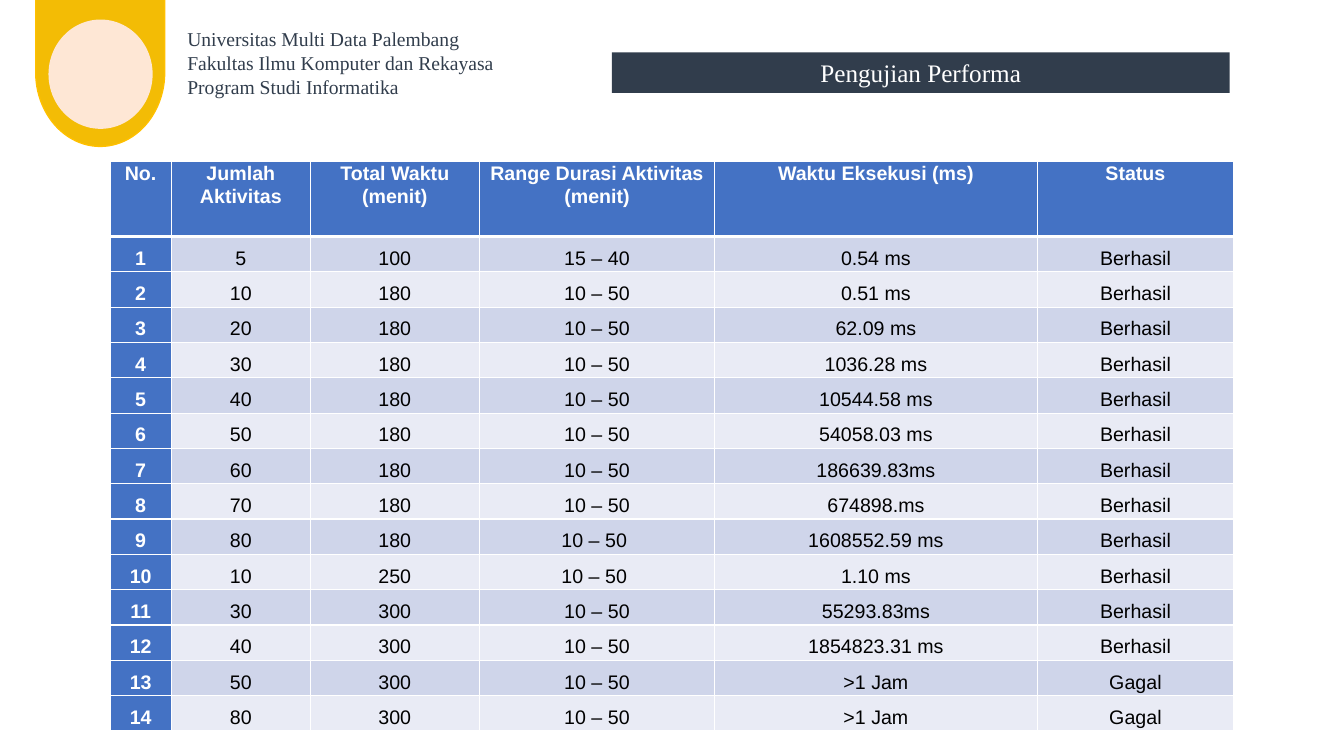
from lxml.etree import SubElement
from pptx import Presentation
from pptx.dml.color import RGBColor
from pptx.enum.shapes import MSO_SHAPE as Preset
from pptx.enum.text import MSO_ANCHOR as Anchor, MSO_AUTO_SIZE as AutoSize, PP_ALIGN as Align
from pptx.oxml.ns import qn
from pptx.util import Cm, Pt

SERIF, SANS = "Times New Roman", "Arial"
NAVY, WHITE, BLACK, BLUE = "313D4C", "FFFFFF", "000000", "4472C4"
BANDS = ("CFD5EA", "E9EBF5")

INSTITUTION = (
    "Universitas Multi Data Palembang",
    "Fakultas Ilmu Komputer dan Rekayasa",
    "Program Studi Informatika",
)
HEADERS = ("No.", "Jumlah Aktivitas", "Total Waktu (menit)",
           "Range Durasi Aktivitas (menit)", "Waktu Eksekusi (ms)", "Status")
COLUMN_WIDTHS = (1.55, 3.5, 4.26, 5.93, 8.13, 4.95)
HEADER_HEIGHT, ROW_HEIGHT = 1.9, 0.84

# Activities, total time, duration range, execution time, status
RESULTS = (
    ("5", "100", "15 – 40", "0.54 ms", "Berhasil"),
    ("10", "180", "10 – 50", "0.51 ms", "Berhasil"),
    ("20", "180", "10 – 50", "62.09 ms", "Berhasil"),
    ("30", "180", "10 – 50", "1036.28 ms", "Berhasil"),
    ("40", "180", "10 – 50", "10544.58 ms", "Berhasil"),
    ("50", "180", "10 – 50", "54058.03 ms", "Berhasil"),
    ("60", "180", "10 – 50", "186639.83ms", "Berhasil"),
    ("70", "180", "10 – 50", "674898.ms", "Berhasil"),
    ("80", "180", "10 – 50 ", "1608552.59 ms", "Berhasil"),
    ("10", "250", "10 – 50 ", "1.10 ms", "Berhasil"),
    ("30", "300", "10 – 50", "55293.83ms", "Berhasil"),
    ("40", "300", "10 – 50", "1854823.31 ms", "Berhasil"),
    ("50", "300", "10 – 50", ">1 Jam", "Gagal"),
    ("80", "300", "10 – 50", ">1 Jam", "Gagal"),
)


def color(hex_value):
    return RGBColor.from_string(hex_value)


def paint(target, hex_value):
    target.fill.solid()
    target.fill.fore_color.rgb = color(hex_value)


def format_text(text_frame, font_name, size, hex_value, bold=False, align=Align.LEFT):
    for paragraph in text_frame.paragraphs:
        paragraph.alignment = align
        for run in paragraph.runs:
            run.font.name = font_name
            run.font.size = Pt(size)
            run.font.bold = bold
            run.font.color.rgb = color(hex_value)


def add_badge_part(slide, preset, left, top, width, height, fill, line, rotation=0):
    shape = slide.shapes.add_shape(preset, Cm(left), Cm(top), Cm(width), Cm(height))
    shape.shadow.inherit = False
    shape.rotation = rotation
    paint(shape, fill)
    shape.line.color.rgb = color(line)
    shape.line.width = Pt(1)


def add_institution(slide):
    box = slide.shapes.add_textbox(Cm(4.72), Cm(0.69), Cm(8.2), Cm(1.8))
    text_frame = box.text_frame
    text_frame.word_wrap = True
    text_frame.margin_left = text_frame.margin_right = 0
    text_frame.margin_top = text_frame.margin_bottom = 0
    text_frame.text = "\n".join(INSTITUTION)
    format_text(text_frame, SERIF, 14, NAVY)


def set_title(slide, text):
    title = slide.shapes.title
    title.left, title.top, title.width, title.height = Cm(15.42), Cm(1.32), Cm(15.57), Cm(1.02)
    paint(title, NAVY)
    text_frame = title.text_frame
    text_frame.text = text
    text_frame.auto_size = AutoSize.NONE
    text_frame.vertical_anchor = Anchor.MIDDLE
    format_text(text_frame, SERIF, 18, WHITE, align=Align.CENTER)


def set_borders(cell, top, bottom):
    properties = cell._tc.get_or_add_tcPr()
    for tag, points in (("lnL", 1), ("lnR", 1), ("lnT", top), ("lnB", bottom)):
        line = SubElement(properties, qn(f"a:{tag}"), w=str(Pt(points)))
        fill = SubElement(line, qn("a:solidFill"))
        SubElement(fill, qn("a:srgbClr"), val=WHITE)


def fill_cell(cell, text, row, column):
    is_header = row == 0
    is_label = is_header or column == 0
    # Borders go before the fill in the cell properties
    set_borders(cell, top=3 if row == 1 else 1, bottom=3 if is_header else 1)
    paint(cell, BLUE if is_label else BANDS[(row - 1) % 2])
    cell.margin_left = cell.margin_right = Cm(0.18)
    cell.margin_top = cell.margin_bottom = 0
    cell.text_frame.text = text
    paragraph = cell.text_frame.paragraphs[0]
    paragraph.line_spacing = 1.07 if is_header else 1.5
    paragraph.space_after = Pt(8)
    format_text(cell.text_frame, SANS, 14, WHITE if is_label else BLACK, is_label, Align.CENTER)


def add_results_table(slide):
    rows = [HEADERS] + [(str(number), *result) for number, result in enumerate(RESULTS, 1)]
    height = HEADER_HEIGHT + ROW_HEIGHT * len(RESULTS)
    table = slide.shapes.add_table(len(rows), len(HEADERS), Cm(2.77), Cm(4.06),
                                   Cm(sum(COLUMN_WIDTHS)), Cm(height)).table
    table.first_col = True
    for column, width in zip(table.columns, COLUMN_WIDTHS):
        column.width = Cm(width)
    for row, texts in enumerate(rows):
        table.rows[row].height = Cm(ROW_HEIGHT if row else HEADER_HEIGHT)
        for column, text in enumerate(texts):
            fill_cell(table.cell(row, column), text, row, column)


def main():
    presentation = Presentation()
    presentation.slide_width, presentation.slide_height = Cm(33.87), Cm(19.05)
    slide = presentation.slides.add_slide(presentation.slide_layouts[5])

    # Page header
    add_institution(slide)
    add_badge_part(slide, Preset.FLOWCHART_DELAY, 0.66, 0.2, 3.73, 3.25,
                   "F3BC05", "FFC000", rotation=90)
    add_badge_part(slide, Preset.FLOWCHART_CONNECTOR, 1.24, 0.51, 2.59, 2.72,
                   "FEE7D5", "FEE7D5")
    set_title(slide, "Pengujian Performa")

    # Performance results
    add_results_table(slide)

    presentation.save("out.pptx")


if __name__ == "__main__":
    main()
